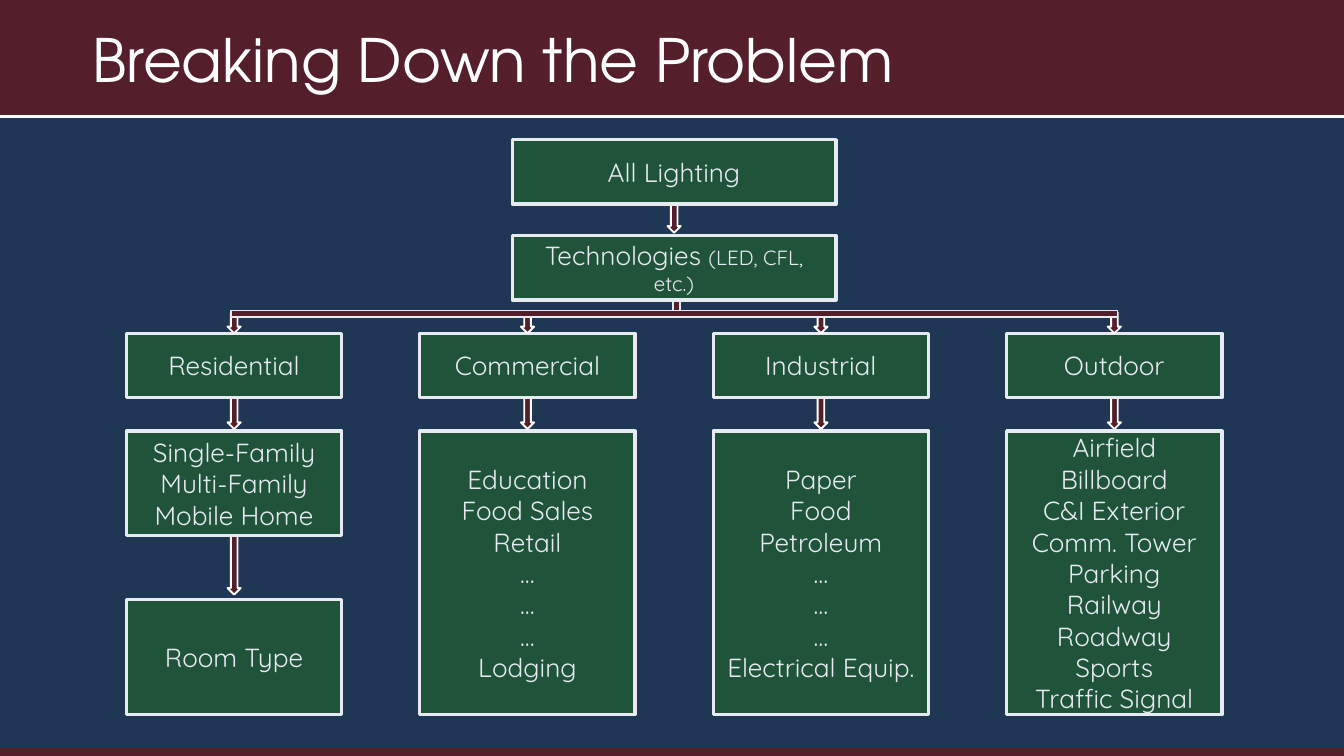
from lxml.etree import SubElement
from pptx import Presentation
from pptx.dml.color import RGBColor as RGB
from pptx.enum.shapes import MSO_CONNECTOR as LINK, MSO_SHAPE as KIND
from pptx.enum.text import MSO_ANCHOR as ANCHOR, MSO_AUTO_SIZE as FIT, PP_ALIGN as ALIGN
from pptx.oxml.ns import qn
from pptx.util import Cm, Pt

HUES = {"wine": "541F2B", "navy": "1F3754", "green": "1F543B",
        "pale": "E7EBF1", "white": "FFFFFF"}
WIDE, HIGH = 25.4, 14.29

# Chart grid, in cm
LEFT, STEP, COL = 2.39, 5.545, 4.07
ROOT, SPAN = 9.68, 6.12
BOX = 1.22
TOP, TECH, HEAD, LIST, ROOM = 2.64, 4.45, 6.3, 8.15, 11.33
BASE = 13.51
BUS, BAR = 5.87, 0.13

DOTS = ["…"] * 3
SECTORS = {
    "Residential": ["Single-Family", "Multi-Family", "Mobile Home"],
    "Commercial": ["Education", "Food Sales", "Retail", *DOTS, "Lodging"],
    "Industrial": ["Paper", "Food", "Petroleum", *DOTS, "Electrical Equip."],
    "Outdoor": ["Airfield", "Billboard", "C&I Exterior", "Comm. Tower", "Parking",
                "Railway", "Roadway", "Sports", "Traffic Signal"],
}


def hue(name):
    return RGB.from_string(HUES[name])


def add_run(para, text, size, font, color):
    run = para.add_run()
    run.text = text
    run.font.size = Pt(size)
    run.font.name = font
    run.font.color.rgb = hue(color)


def add_part(shapes, kind, x, y, w, h, fill, edge=None, weight=1):
    part = shapes.add_shape(kind, Cm(x), Cm(y), Cm(w), Cm(h))
    part.shadow.inherit = False
    part.fill.solid()
    part.fill.fore_color.rgb = hue(fill)
    if edge:
        part.line.color.rgb = hue(edge)
        part.line.width = Pt(weight)
    else:
        part.line.fill.background()
    return part


def add_box(shapes, x, y, w, h, lines):
    """Each line is a list of (text, size) runs."""
    box = add_part(shapes, KIND.RECTANGLE, x, y, w, h, "green", "pale", 1.75)
    frame = box.text_frame
    frame.word_wrap = True
    frame.vertical_anchor = ANCHOR.MIDDLE
    for i, line in enumerate(lines):
        para = frame.add_paragraph() if i else frame.paragraphs[0]
        para.alignment = ALIGN.CENTER
        for text, size in line:
            add_run(para, text, size, "Quicksand", "pale")


def add_arrow(shapes, mid, top, size):
    """Right arrow turned to point down from top."""
    thick = 0.25
    arrow = add_part(shapes, KIND.RIGHT_ARROW, mid - size / 2,
                     top + (size - thick) / 2, size, thick, "wine", "white")
    arrow.rotation = 90


def add_title(slide, text):
    title = slide.shapes.title
    title.left, title.top, title.width, title.height = Cm(0), Cm(0), Cm(WIDE), Cm(2.2)
    title.fill.solid()
    title.fill.fore_color.rgb = hue("wine")
    frame = title.text_frame
    frame.auto_size = FIT.NONE
    frame.vertical_anchor = ANCHOR.MIDDLE
    frame.margin_left = Cm(1.75)
    frame.margin_right = frame.margin_top = frame.margin_bottom = Cm(0.25)
    para = frame.paragraphs[0]
    para.alignment = ALIGN.LEFT
    add_run(para, text, 32, "TeX Gyre Adventor", "white")


def add_rule(slide, y):
    rule = slide.shapes.add_connector(LINK.STRAIGHT, Cm(WIDE), Cm(y), Cm(0), Cm(y))
    rule.line.color.rgb = hue("white")
    rule.line.width = Pt(1.25)
    SubElement(rule._element.spPr, qn("a:effectLst"))


def add_tree(slide):
    shapes = slide.shapes.add_group_shape().shapes
    lefts = [LEFT + i * STEP for i in range(len(SECTORS))]
    mids = [x + COL / 2 for x in lefts]
    root = ROOT + SPAN / 2

    # Links that sit behind the boxes
    add_part(shapes, KIND.RECTANGLE, root - 0.02, 4.91, BAR, 1.07, "wine", "pale")
    add_arrow(shapes, root, 3.16, 1.24)
    add_arrow(shapes, mids[0], 10, 1.24)
    for mid in mids:
        add_arrow(shapes, mid, 6.87, 1.24)

    # Root and technologies
    add_box(shapes, ROOT, TOP, SPAN, BOX, [[("All Lighting", 14)]])
    add_box(shapes, ROOT, TECH, SPAN, BOX,
            [[("Technologies ", 14), ("(LED, CFL, etc.)", 11)]])

    # Sector columns
    for x, (name, items) in zip(lefts, SECTORS.items()):
        tall = 1.98 if name == "Residential" else BASE - LIST
        add_box(shapes, x, HEAD, COL, BOX, [[(name, 14)]])
        add_box(shapes, x, LIST, COL, tall, [[(item, 14)] for item in items])
    add_box(shapes, LEFT, ROOM, COL, BASE - ROOM, [[("Room Type", 14)]])

    # Branches in front
    for mid in mids:
        add_arrow(shapes, mid, 5.91, 0.39)
    add_part(shapes, KIND.RECTANGLE, mids[0] - 0.06, BUS,
             mids[-1] - mids[0] + 0.12, BAR, "wine", "pale")


def main():
    deck = Presentation()
    deck.slide_width, deck.slide_height = Cm(WIDE), Cm(HIGH)
    slide = deck.slides.add_slide(deck.slide_layouts[5])
    slide.background.fill.solid()
    slide.background.fill.fore_color.rgb = hue("navy")

    add_title(slide, "Breaking Down the Problem")
    add_rule(slide, 2.2)
    add_tree(slide)

    # Footer strip
    add_part(slide.shapes, KIND.RECTANGLE, 0, 14.14, WIDE, HIGH - 14.14, "wine")
    deck.save("out.pptx")


if __name__ == "__main__":
    main()
